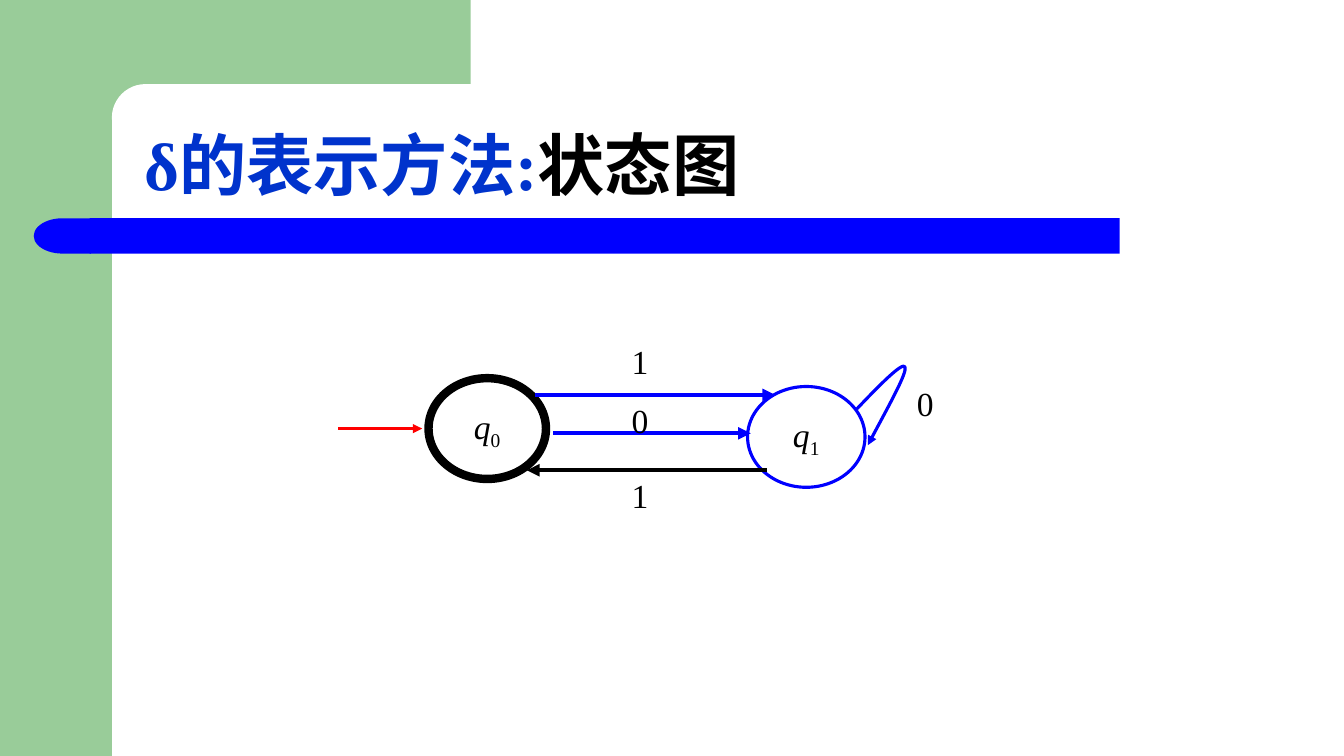
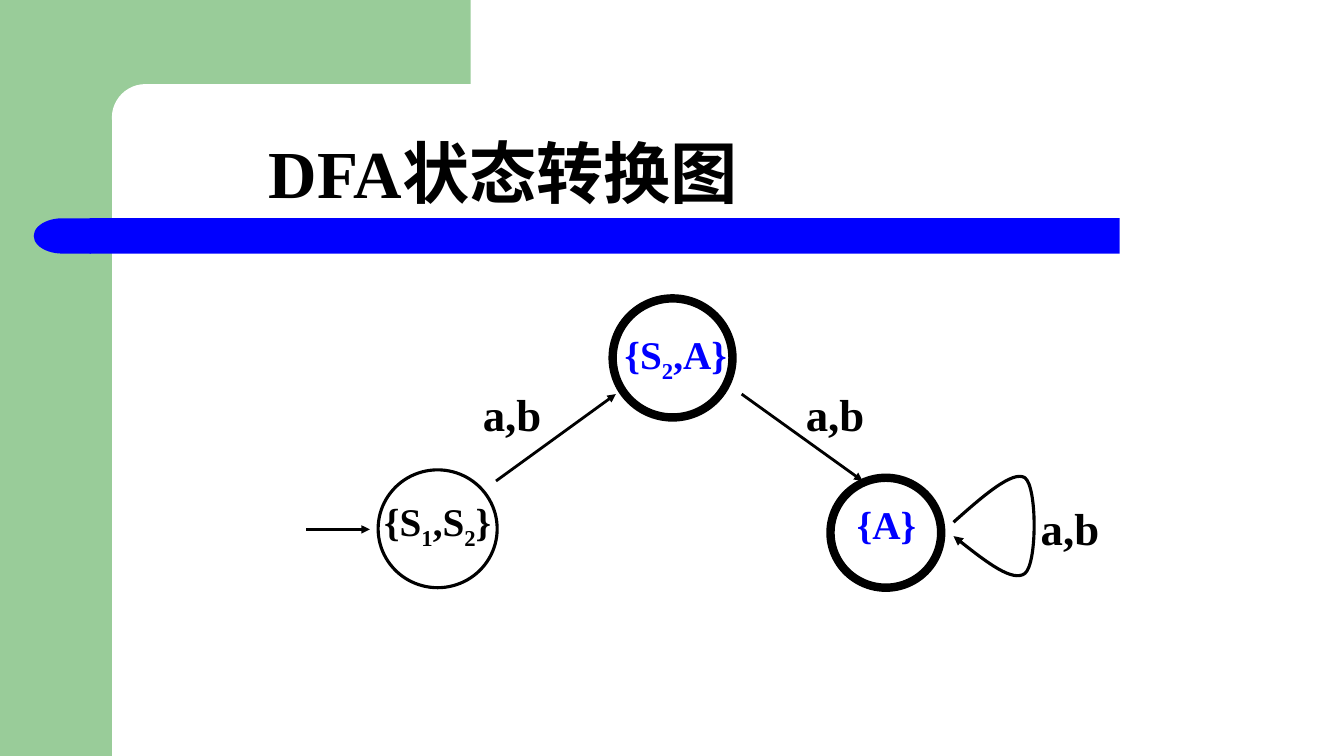
from dataclasses import dataclass

import lxml.etree
import pptx
import pptx.dml.color
import pptx.enum.shapes
import pptx.enum.text
import pptx.oxml.ns
import pptx.util

Cm = pptx.util.Cm
Kind = pptx.enum.shapes.MSO_SHAPE
Side = pptx.enum.text.PP_ALIGN
Hold = pptx.enum.text.MSO_ANCHOR
qn = pptx.oxml.ns.qn

FONT = "Times New Roman"
GREEN, BLUE, NAVY = "99CC99", "0000FF", "0033CC"
BLACK, WHITE, RED = "000000", "FFFFFF", "FF0000"
WIDE, TALL = 33.87, 19.05

Point = tuple[float, float]


@dataclass
class Box:
    left: float
    top: float
    width: float
    height: float

    def lengths(self) -> list:
        return [Cm(n) for n in (self.left, self.top, self.width, self.height)]


@dataclass
class Run:
    text: str
    color: str = BLACK
    slant: bool = False
    low: bool = False


@dataclass
class Style:
    size: int
    bold: bool = True
    align: Side = Side.CENTER
    hold: Hold = Hold.MIDDLE
    inset: bool = False
    wrap: bool = True
    pitch: float = 1.0


@dataclass
class Ring:
    box: Box
    width: float
    color: str = BLACK


@dataclass
class Arrow:
    start: Point
    end: Point
    width: float
    color: str = BLACK


TITLE = Style(48, align=Side.LEFT, hold=Hold.BOTTOM, inset=True, pitch=0.9)
DIGIT = Style(24, bold=False, align=Side.LEFT, hold=Hold.TOP, inset=True)
STATE = Style(24, bold=False, inset=True, wrap=False)
EDGE = Style(32)
GROUP = Style(28)


def tint(code: str) -> pptx.dml.color.RGBColor:
    return pptx.dml.color.RGBColor.from_string(code)


def stroke(line, color: str, width: float) -> None:
    line.color.rgb = tint(color)
    line.width = pptx.util.Pt(width)


def point(ln) -> None:
    lxml.etree.SubElement(ln, qn("a:tailEnd"), type="triangle")


def block(slide, kind: Kind, box: Box, color: str):
    shape = slide.shapes.add_shape(kind, *box.lengths())
    shape.shadow.inherit = False
    shape.fill.solid()
    shape.fill.fore_color.rgb = tint(color)
    shape.line.fill.background()
    return shape


def fill_text(shape, runs: list[Run], style: Style) -> None:
    frame = shape.text_frame
    frame.word_wrap = style.wrap
    frame.vertical_anchor = style.hold
    if not style.inset:
        frame.margin_left = frame.margin_right = 0
        frame.margin_top = frame.margin_bottom = 0
    para = frame.paragraphs[0]
    para.alignment = style.align
    para.line_spacing = style.pitch
    for part in runs:
        run = para.add_run()
        run.text = part.text
        run.font.name = FONT
        run.font.size = pptx.util.Pt(style.size)
        run.font.bold = style.bold
        run.font.italic = part.slant
        run.font.color.rgb = tint(part.color)
        if part.low:
            run._r.get_or_add_rPr().set("baseline", "-25000")


def write(slide, box: Box, runs: list[Run], style: Style) -> None:
    fill_text(slide.shapes.add_textbox(*box.lengths()), runs, style)


def draw_ring(slide, ring: Ring):
    shape = slide.shapes.add_shape(Kind.OVAL, *ring.box.lengths())
    shape.shadow.inherit = False
    shape.fill.background()
    stroke(shape.line, ring.color, ring.width)
    return shape


def draw_arrow(slide, arrow: Arrow) -> None:
    ends = [Cm(n) for n in arrow.start + arrow.end]
    kind = pptx.enum.shapes.MSO_CONNECTOR.STRAIGHT
    link = slide.shapes.add_connector(kind, *ends)
    stroke(link.line, arrow.color, arrow.width)
    point(link.line._get_or_add_ln())
    lxml.etree.SubElement(link._element.spPr, qn("a:effectLst"))


def draw_loop(slide, points: list[Point], color: str) -> None:
    spots = [(Cm(x), Cm(y)) for x, y in points]
    pen = slide.shapes.build_freeform(*spots[0])
    pen.add_line_segments(spots[1:], close=False)
    shape = pen.convert_to_shape()
    shape.shadow.inherit = False
    shape.fill.background()
    stroke(shape.line, color, 2.25)
    point(shape.line._get_or_add_ln())
    legs = list(shape._element.iter(qn("a:lnTo")))
    for first in range(0, len(legs), 3):
        trio = legs[first:first + 3]
        curve = lxml.etree.Element(qn("a:cubicBezTo"))
        trio[0].addprevious(curve)
        for leg in trio:
            curve.append(leg[0])
            leg.getparent().remove(leg)


def start_slide(deck, box: Box, title: list[Run]):
    slide = deck.slides.add_slide(deck.slide_layouts[6])
    block(slide, Kind.RECTANGLE, Box(0, 0, 2.82, TALL), GREEN)
    block(slide, Kind.RECTANGLE, Box(2.54, 0, 9.32, 2.96), GREEN)
    sheet = block(slide, Kind.ROUNDED_RECTANGLE, Box(2.82, 2.12, 18.9, 1.69), WHITE)
    sheet.adjustments[0] = 0.5
    block(slide, Kind.RECTANGLE, Box(2.26, 5.5, 25.96, 0.89), BLUE)
    cap = block(slide, Kind.FLOWCHART_DELAY, Box(0.85, 5.5, 1.44, 0.89), BLUE)
    cap.rotation = 180
    write(slide, box, title, TITLE)
    return slide


def state_slide(deck) -> None:
    title = [Run("δ的表示方法:", NAVY), Run("状态图")]
    slide = start_slide(deck, Box(3.39, 2.12, 29.63, 3.18), title)
    rings = {
        "0": Ring(Box(10.8, 9.53, 2.96, 2.54), 6),
        "1": Ring(Box(18.84, 9.74, 2.96, 2.54), 2.25, BLUE),
    }
    for name, ring in rings.items():
        runs = [Run("q", slant=True), Run(name, low=True)]
        fill_text(draw_ring(slide, ring), runs, STATE)
    for arrow in (
        Arrow((8.53, 10.8), (10.64, 10.8), 2.25, RED),
        Arrow((13.94, 10.92), (18.92, 10.92), 3, BLUE),
        Arrow((19.33, 11.85), (13.28, 11.85), 3),
        Arrow((13.49, 9.95), (19.53, 9.95), 3, BLUE),
    ):
        draw_arrow(slide, arrow)
    loop = [(21.59, 10.31), (22.17, 9.7), (22.76, 9.1), (22.81, 9.25),
            (22.86, 9.4), (22.35, 10.31), (21.87, 11.22)]
    draw_loop(slide, loop, BLUE)
    for text, left, top in (
        ("1", 15.67, 8.47), ("0", 15.67, 9.95),
        ("1", 15.67, 11.85), ("0", 22.86, 9.53),
    ):
        write(slide, Box(left, top, 1.07, 1.27), [Run(text)], DIGIT)


def chart_slide(deck) -> None:
    title = [Run("DFA状态转换图")]
    slide = start_slide(deck, Box(6.53, 2.31, 22.23, 3.18), title)
    for ring in (
        Ring(Box(9.53, 11.84, 3, 2.97), 2.25),
        Ring(Box(15.44, 7.52, 3.02, 3), 6),
        Ring(Box(20.93, 12.04, 2.79, 2.77), 6),
    ):
        draw_ring(slide, ring)
    for start, end in (
        ((7.72, 13.34), (9.32, 13.34)),
        ((12.5, 12.12), (15.52, 9.93)),
        ((18.69, 9.93), (21.74, 12.12)),
    ):
        draw_arrow(slide, Arrow(start, end, 2))
    loop = [(24.03, 13.16), (24.77, 12.5), (25.53, 11.84), (25.83, 12.04),
            (26.14, 12.27), (26.14, 14.2), (25.83, 14.45),
            (25.53, 14.68), (24.77, 14.1), (24.03, 13.51)]
    draw_loop(slide, loop, BLACK)
    for left, top in ((11.99, 9.73), (20.13, 9.73), (26.05, 12.62)):
        write(slide, Box(left, top, 1.83, 1.37), [Run("a,b")], EDGE)
    for box, color, parts in (
        (Box(9.53, 12.62, 3, 1.19), BLACK, ("{S", "1", ",S", "2", "}")),
        (Box(15.14, 8.41, 3.78, 1.19), BLUE, ("{S", "2", ",A}")),
        (Box(20.45, 12.6, 3.78, 1.19), BLUE, ("{A}",)),
    ):
        runs = [Run(part, color, low=part.isdigit()) for part in parts]
        write(slide, box, runs, GROUP)


def main() -> None:
    deck = pptx.Presentation()
    deck.slide_width, deck.slide_height = Cm(WIDE), Cm(TALL)
    state_slide(deck)
    chart_slide(deck)
    deck.save("out.pptx")


if __name__ == "__main__":
    main()
